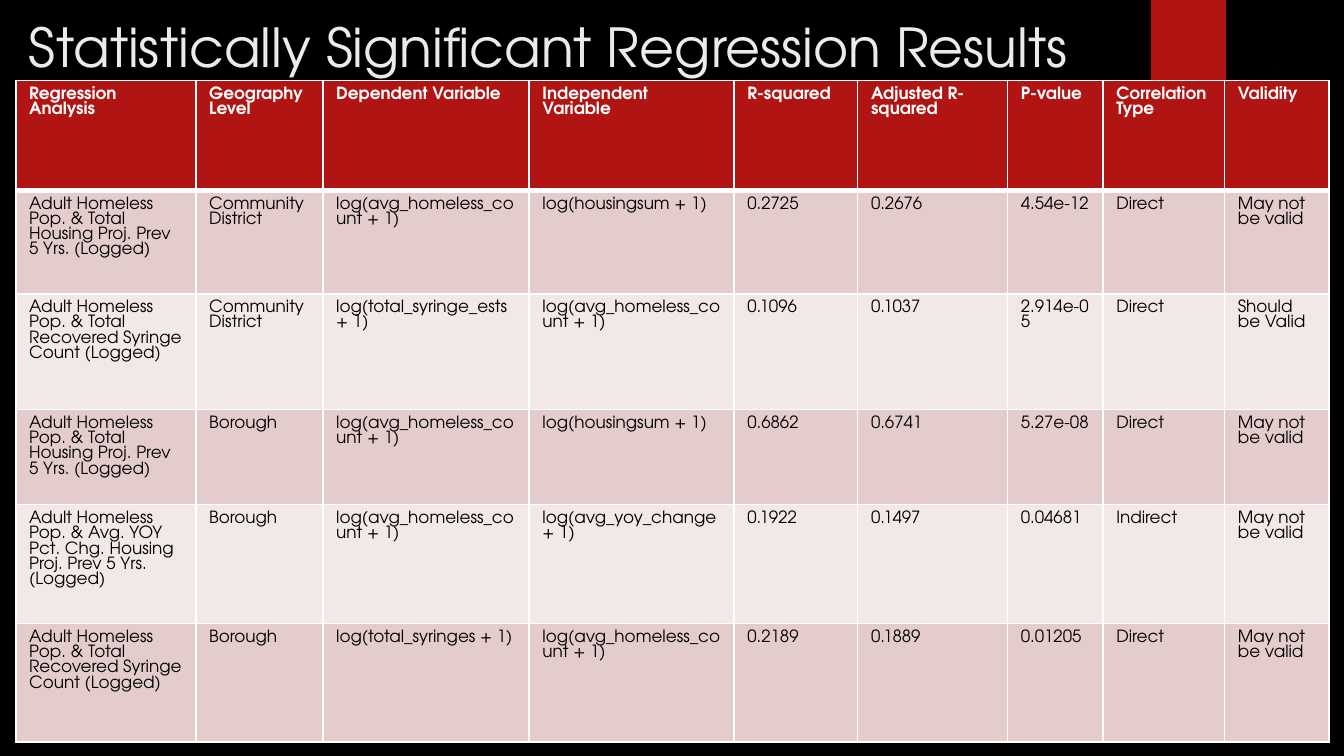
import pptx
import pptx.util
import pptx.dml.color
import pptx.enum.shapes
import pptx.enum.text
import pptx.oxml
import pptx.oxml.ns

COLORS = {"black": "000000", "red": "B01513", "title": "EBEBEB",
          "white": "FFFFFF", "band": "E4CCCC", "pale": "F2E8E7"}
FONT = "TeX Gyre Adventor"


def rgb(name):
    return pptx.dml.color.RGBColor.from_string(COLORS[name])


def write(frame, text, size=9, color="black", bold=False, spacing=None):
    frame.word_wrap = True
    para = frame.paragraphs[0]
    if spacing:
        para.line_spacing = pptx.util.Pt(spacing)
    span = para.add_run()
    span.text = text
    span.font.name = FONT
    span.font.size = pptx.util.Pt(size)
    span.font.bold = bold
    span.font.color.rgb = rgb(color)


# Wide 16:9 page, measured in hundredths of its width (col) and height (row)
deck = pptx.Presentation()
deck.slide_width = pptx.util.Inches(10)
deck.slide_height = deck.slide_width * 9 // 16
col = deck.slide_width / 100
row = deck.slide_height / 100
page = deck.slides.add_slide(deck.slide_layouts[6])
page.background.fill.solid()
page.background.fill.fore_color.rgb = rgb("black")

# Red tab at the top edge
tab = page.shapes.add_shape(pptx.enum.shapes.MSO_SHAPE.RECTANGLE,
                            int(85.64 * col), 0, int(5.6 * col), int(16.7 * row))
tab.shadow.inherit = False
tab.fill.solid()
tab.fill.fore_color.rgb = rgb("red")
tab.line.fill.background()

# Regression table
HOUSING = "Adult Homeless Pop. & Total Housing Proj. Prev 5 Yrs. (Logged)"
SYRINGE = "Adult Homeless Pop. & Total Recovered Syringe Count (Logged)"
YOY = "Adult Homeless Pop. & Avg. YOY Pct. Chg. Housing Proj. Prev 5 Yrs. (Logged)"
HOMELESS_LOG = "log(avg_homeless_count + 1)"
HOUSING_LOG = "log(housingsum + 1)"
DOUBTFUL = "May not be valid"
results = [
    ["Regression Analysis", "Geography Level", "Dependent Variable",
     "Independent Variable", "R-squared", "Adjusted R-squared", "P-value",
     "Correlation Type", "Validity"],
    [HOUSING, "Community District", HOMELESS_LOG, HOUSING_LOG,
     "0.2725", "0.2676", "4.54e-12", "Direct", DOUBTFUL],
    [SYRINGE, "Community District", "log(total_syringe_ests + 1)", HOMELESS_LOG,
     "0.1096", "0.1037", "2.914e-05", "Direct", "Should be Valid"],
    [HOUSING, "Borough", HOMELESS_LOG, HOUSING_LOG,
     "0.6862", "0.6741", "5.27e-08", "Direct", DOUBTFUL],
    [YOY, "Borough", HOMELESS_LOG, "log(avg_yoy_change + 1)",
     "0.1922", "0.1497", "0.04681", "Indirect", DOUBTFUL],
    [SYRINGE, "Borough", "log(total_syringes + 1)", HOMELESS_LOG,
     "0.2189", "0.1889", "0.01205", "Direct", DOUBTFUL],
]
widths = [13.4, 9.45, 15.35, 15.25, 9.2, 11.15, 7.1, 9.05, 7.8]
heights = [14.5, 13.7, 15.3, 12.6, 15.7, 15.7]
table = page.shapes.add_table(len(heights), len(widths), int(1.17 * col), int(10.67 * row),
                              int(sum(widths) * col), int(sum(heights) * row)).table
for column, width in zip(table.columns, widths):
    column.width = int(width * col)
for line, height in zip(table.rows, heights):
    line.height = int(height * row)

for r, values in enumerate(results):
    header = r == 0
    fill = "red" if header else ("band" if r % 2 else "pale")
    for c, value in enumerate(values):
        cell = table.cell(r, c)
        write(cell.text_frame, value, color="white" if header else "black",
              bold=header, spacing=8.2)
        # Borders come before the fill in the cell properties
        for side in "LRTB":
            heavy = (r == 0 and side == "B") or (r == 1 and side == "T")
            border = pptx.oxml.parse_xml(
                f'<a:ln{side} {pptx.oxml.ns.nsdecls("a")} w="{pptx.util.Pt(3 if heavy else 1)}">'
                f'<a:solidFill><a:srgbClr val="{COLORS["white"]}"/></a:solidFill></a:ln{side}>')
            cell._tc.get_or_add_tcPr().append(border)
        cell.fill.solid()
        cell.fill.fore_color.rgb = rgb(fill)

# Title
box = page.shapes.add_textbox(int(1.17 * col), int(0.9 * row), int(81.7 * col), int(8.5 * row))
box.text_frame.vertical_anchor = pptx.enum.text.MSO_ANCHOR.TOP
write(box.text_frame, "Statistically Significant Regression Results", size=28.8, color="title")

deck.save("out.pptx")
